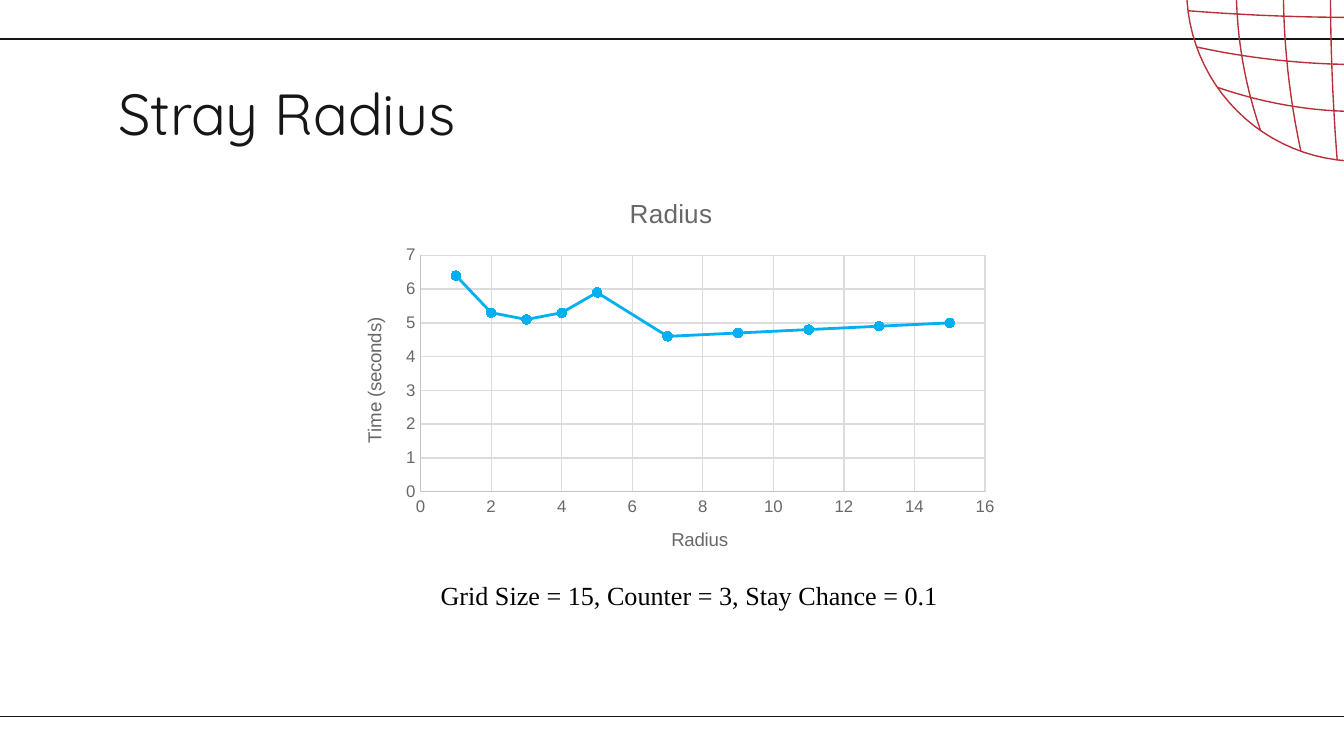
from dataclasses import dataclass
from math import cos, pi, sin

from lxml.etree import SubElement
from pptx import Presentation
from pptx.chart.data import XyChartData
from pptx.dml.color import RGBColor
from pptx.enum.chart import XL_CHART_TYPE, XL_MARKER_STYLE, XL_TICK_MARK
from pptx.enum.text import PP_ALIGN
from pptx.oxml import parse_xml
from pptx.oxml.ns import nsdecls, qn
from pptx.util import Inches, Pt


@dataclass(frozen=True)
class Theme:
    ink: RGBColor = RGBColor(0x16, 0x16, 0x16)
    black: RGBColor = RGBColor(0, 0, 0)
    globe: RGBColor = RGBColor(0xB9, 0x2F, 0x38)
    series: RGBColor = RGBColor(0x00, 0xB0, 0xF0)
    label: RGBColor = RGBColor(0x68, 0x68, 0x68)
    axis: RGBColor = RGBColor(0xC5, 0xC5, 0xC5)
    grid: RGBColor = RGBColor(0xDC, 0xDC, 0xDC)
    heading_font: str = "Quicksand"
    caption_font: str = "Times New Roman"
    chart_font: str = "Arial"
    heading_size: float = 31
    caption_size: float = 14
    chart_title_size: float = 14
    axis_title_size: float = 10
    tick_size: float = 9
    hairline: float = 0.75
    series_line: float = 1.5


THEME = Theme()
CHART_WIDTH, CHART_HEIGHT = 5, 3
RADII = [1, 2, 3, 4, 5, 7, 9, 11, 13, 15]
SECONDS = [6.4, 5.3, 5.1, 5.3, 5.9, 4.6, 4.7, 4.8, 4.9, 5.0]


def style_font(font, family, size, color):
    font.name = family
    font.size = Pt(size)
    font.bold = False
    font.color.rgb = color


def style_line(line, color, width=THEME.hairline):
    line.color.rgb = color
    line.width = Pt(width)


def add_frame_rules(slide, left, top, width, height):
    for y in (top, top + height):
        rule = slide.shapes.add_connector(
            1, Inches(left), Inches(y), Inches(left + width), Inches(y))
        style_line(rule.line, THEME.ink)
        SubElement(rule._element.spPr, qn("a:effectLst"))


def add_globe(slide, left, top, diameter):
    radius = diameter / 2
    center_x, center_y = left + radius, top + radius
    steps = 24
    outline = [(radius * cos(2 * pi * i / 96), radius * sin(2 * pi * i / 96))
               for i in range(97)]
    curves = [outline]
    for middle, end in ((0.21, 0.16), (0.56, 0.43), (0.91, 0.73)):
        reach = (radius ** 2 - end ** 2) ** 0.5
        for side in (-1, 1):
            meridian = []
            for i in range(steps + 1):
                t = 2 * i / steps - 1
                meridian.append((side * (middle + (end - middle) * t * t), reach * t))
            curves += [meridian, [(y, x) for x, y in meridian]]

    builder = None
    for curve in curves:
        points = [(Inches(center_x + x), Inches(center_y + y)) for x, y in curve]
        if builder is None:
            builder = slide.shapes.build_freeform(*points[0])
        else:
            builder.move_to(*points[0])
        builder.add_line_segments(points[1:], close=False)
    globe = builder.convert_to_shape()
    globe.shadow.inherit = False
    globe.fill.background()
    style_line(globe.line, THEME.globe)


def add_text(slide, left, top, width, height, wording, inset, align, font_style):
    box = slide.shapes.add_textbox(
        Inches(left), Inches(top), Inches(width), Inches(height))
    frame = box.text_frame
    frame.word_wrap = True
    frame.margin_top = frame.margin_bottom = Inches(inset)
    paragraph = frame.paragraphs[0]
    paragraph.alignment = align
    run = paragraph.add_run()
    run.text = wording
    style_font(run.font, *font_style)


def manual_layout(left, top, plot_size=None):
    target = extent = ""
    if plot_size:
        width, height = plot_size
        target = '<c:layoutTarget val="inner"/>'
        extent = (f'<c:w val="{width / CHART_WIDTH:.4f}"/>'
                  f'<c:h val="{height / CHART_HEIGHT:.4f}"/>')
    return parse_xml(
        f'<c:layout {nsdecls("c")}><c:manualLayout>{target}'
        '<c:xMode val="edge"/><c:yMode val="edge"/>'
        f'<c:x val="{left / CHART_WIDTH:.4f}"/><c:y val="{top / CHART_HEIGHT:.4f}"/>'
        f'{extent}</c:manualLayout></c:layout>')


def set_title(title, wording, size, left, top):
    run = title.text_frame.paragraphs[0].add_run()
    run.text = wording
    style_font(run.font, THEME.chart_font, size, THEME.label)
    element = title._element
    for layout in element.findall(qn("c:layout")):
        element.remove(layout)
    element.find(qn("c:tx")).addnext(manual_layout(left, top))


def style_axis(axis, wording, maximum, step, left, top):
    axis.minimum_scale = 0
    axis.maximum_scale = maximum
    axis.major_unit = step
    axis.major_tick_mark = axis.minor_tick_mark = XL_TICK_MARK.NONE
    axis.has_major_gridlines = True
    style_line(axis.major_gridlines.format.line, THEME.grid)
    style_line(axis.format.line, THEME.axis)
    style_font(axis.tick_labels.font, THEME.chart_font, THEME.tick_size, THEME.label)
    axis.tick_labels.number_format = "General"
    axis.tick_labels.number_format_is_linked = False
    set_title(axis.axis_title, wording, THEME.axis_title_size, left, top)


def add_radius_chart(slide, left, top, width, height):
    data = XyChartData()
    timing = data.add_series("Series 1")
    for radius, seconds in zip(RADII, SECONDS):
        timing.add_data_point(radius, seconds)
    chart = slide.shapes.add_chart(
        XL_CHART_TYPE.XY_SCATTER_LINES, Inches(left), Inches(top),
        Inches(width), Inches(height), data).chart
    chart.has_legend = False
    style_font(chart.font, THEME.chart_font, THEME.axis_title_size, THEME.ink)
    chart.has_title = True
    set_title(chart.chart_title, "Radius", THEME.chart_title_size, 2.15, 0.12)
    style_axis(chart.category_axis, "Radius", 16, 2, 2.47, 2.59)
    style_axis(chart.value_axis, "Time (seconds)", 7, 1, 0.17, 1.03)

    plot = chart.plots[0]
    plot.vary_by_categories = False
    curve = plot.series[0]
    curve.smooth = False
    style_line(curve.format.line, THEME.series, THEME.series_line)
    curve.marker.style = XL_MARKER_STYLE.CIRCLE
    curve.marker.size = 5
    curve.marker.format.fill.solid()
    curve.marker.format.fill.fore_color.rgb = THEME.series
    style_line(curve.marker.format.line, THEME.series)

    plot_area = chart._chartSpace.chart.plotArea
    for layout in plot_area.findall(qn("c:layout")):
        plot_area.remove(layout)
    plot_area.insert(0, manual_layout(0.63, 0.59, (4.2, 1.76)))


def main():
    deck = Presentation()
    deck.slide_width = Inches(10)
    deck.slide_height = deck.slide_width * 9 // 16
    slide = deck.slides.add_slide(deck.slide_layouts[6])
    add_frame_rules(slide, 0, 0.29, 10, 5.04)
    add_globe(slide, 8.83, -1.36, 2.56)
    add_text(slide, 0.78, 0.48, 8.05, 1.15, "Stray Radius", 0.1, PP_ALIGN.LEFT,
             (THEME.heading_font, THEME.heading_size, THEME.ink))
    add_text(slide, 2.28, 4.26, 5.7, 0.34,
             "Grid Size = 15, Counter = 3, Stay Chance = 0.1", 0.05, PP_ALIGN.CENTER,
             (THEME.caption_font, THEME.caption_size, THEME.black))
    add_radius_chart(slide, 2.5, 1.31, CHART_WIDTH, CHART_HEIGHT)
    deck.save("out.pptx")


if __name__ == "__main__":
    main()
